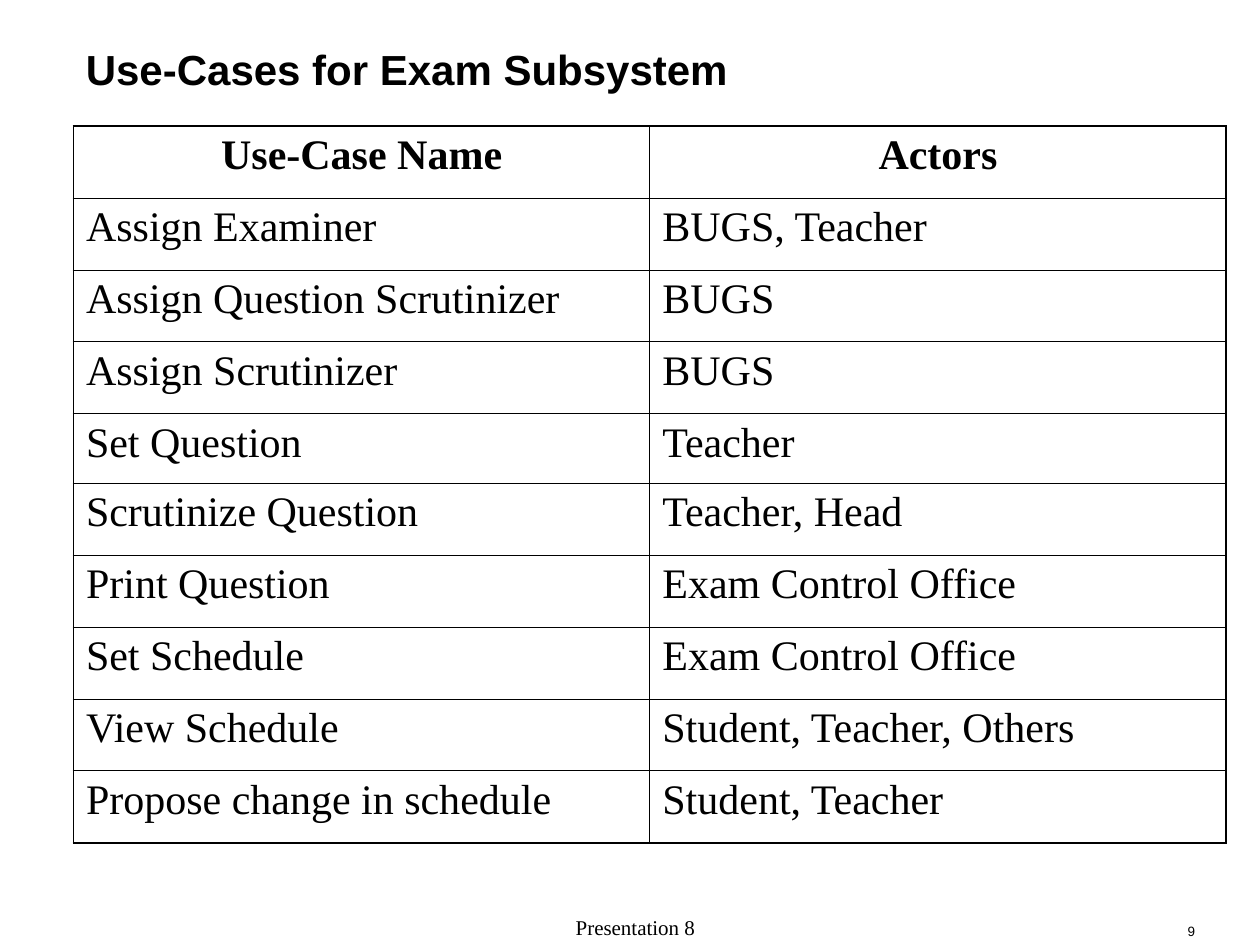
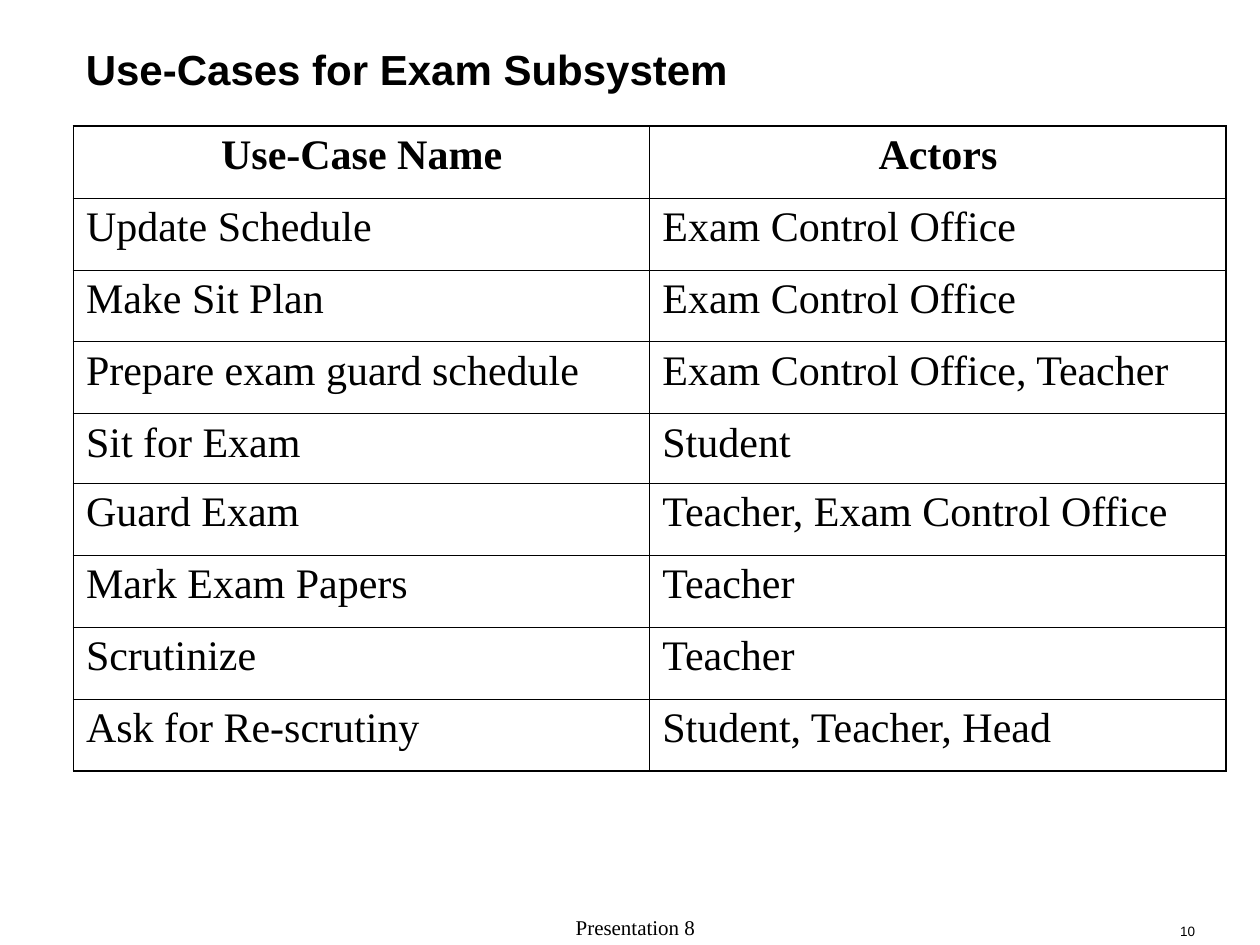
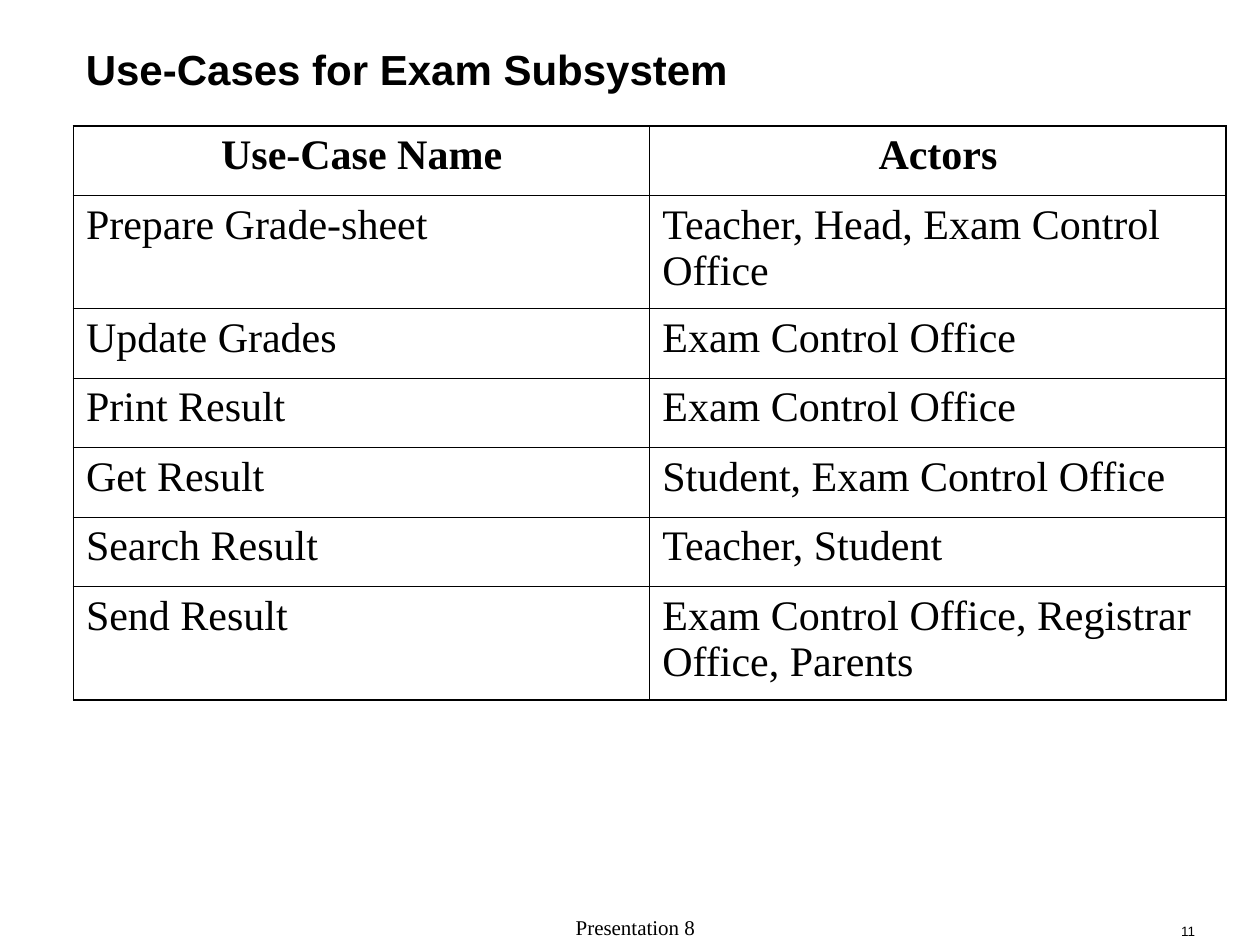
"""Build three slides that list the use-cases of the exam subsystem."""
from lxml import etree
from pptx import Presentation
from pptx import util as u
from pptx.dml import color
from pptx.enum import text
from pptx.oxml import ns

HEX = {"ink": "000000", "paper": "FFFFFF"}
SANS, SERIF = "Arial", "Times New Roman"
THIN, THICK = 0.45, 1.08
LEFT, MID, RIGHT = text.PP_ALIGN.LEFT, text.PP_ALIGN.CENTER, text.PP_ALIGN.RIGHT
FONTS = {
    "title": {"name": SANS, "size": u.Pt(24), "bold": True},
    "head": {"name": SERIF, "size": u.Pt(24), "bold": True},
    "body": {"name": SERIF, "size": u.Pt(24), "bold": False},
    "foot": {"name": SERIF, "size": u.Pt(12), "bold": False},
    "page": {"name": SANS, "size": u.Pt(7.7), "bold": False},
}
HEADS = ("Use-Case Name", "Actors")
OFFICE = "Exam Control Office"
TALL, ROW, LOW = 2.28, 1.45, 1.4
TABLES = [
    ([ROW] * 4 + [LOW] + [ROW] * 5, [
        ("Assign Examiner", "BUGS, Teacher"),
        ("Assign Question Scrutinizer", "BUGS"),
        ("Assign Scrutinizer", "BUGS"),
        ("Set Question", "Teacher"),
        ("Scrutinize Question", "Teacher, Head"),
        ("Print Question", OFFICE),
        ("Set Schedule", OFFICE),
        ("View Schedule", "Student, Teacher, Others"),
        ("Propose change in schedule", "Student, Teacher"),
    ]),
    ([ROW] * 4 + [LOW] + [ROW] * 4, [
        ("Update Schedule", OFFICE),
        ("Make Sit Plan", OFFICE),
        ("Prepare exam guard schedule", "Exam Control Office, Teacher"),
        ("Sit for Exam", "Student"),
        ("Guard Exam", "Teacher, Exam Control Office"),
        ("Mark Exam Papers", "Teacher"),
        ("Scrutinize", "Teacher"),
        ("Ask for Re-scrutiny", "Student, Teacher, Head"),
    ]),
    ([LOW, TALL] + [LOW] * 4 + [TALL], [
        ("Prepare Grade-sheet", "Teacher, Head, Exam Control Office"),
        ("Update Grades", OFFICE),
        ("Print Result", OFFICE),
        ("Get Result", "Student, Exam Control Office"),
        ("Search Result", "Teacher, Student"),
        ("Send Result", "Exam Control Office, Registrar Office, Parents"),
    ]),
]


class Deck:
    """Hold the style and the current slide."""

    def __init__(self):
        self.prs = Presentation()
        self.prs.slide_width, self.prs.slide_height = u.Cm(25.4), u.Cm(19.05)
        self.slide = None

    def page(self, num):
        """Start a slide with its title, footer and number."""
        self.slide = self.prs.slides.add_slide(self.prs.slide_layouts[6])
        fill = self.slide.background.fill
        fill.solid()
        fill.fore_color.rgb = color.RGBColor.from_string(HEX["paper"])
        low, mid = text.MSO_ANCHOR.BOTTOM, text.MSO_ANCHOR.MIDDLE
        self.label("Presentation 8", (8.68, 18.42, 8.26, 0.64), "foot", MID, low)
        para = self.label(str(num), (21.38, 18.42, 2.96, 0.64), "page", RIGHT, low)
        para.line_spacing = 0.8
        self.label("Use-Cases for Exam Subsystem",
                   (1.48, 0.64, 23.92, 1.48), "title", LEFT, mid)

    def words(self, frame, line, kind, align):
        """Put a styled line in a text frame."""
        para = frame.paragraphs[0]
        para.alignment = align
        run = para.add_run()
        run.text = line
        for key, val in FONTS[kind].items():
            setattr(run.font, key, val)
        run.font.color.rgb = color.RGBColor.from_string(HEX["ink"])
        return para

    def label(self, line, box, kind, align, anchor):
        """Add a text box."""
        frame = self.slide.shapes.add_textbox(*map(u.Cm, box)).text_frame
        for key, val in {"word_wrap": True, "vertical_anchor": anchor}.items():
            setattr(frame, key, val)
        return self.words(frame, line, kind, align)

    def edge(self, cell, side, width):
        """Draw one border of a cell."""
        props = cell._tc.get_or_add_tcPr()
        line = etree.SubElement(props, ns.qn("a:ln" + side), w=str(u.Pt(width)))
        fill = etree.SubElement(line, ns.qn("a:solidFill"))
        etree.SubElement(fill, ns.qn("a:srgbClr"), val=HEX["ink"])

    def table(self, rows, highs):
        """Add a two-column table with a heavier frame."""
        wide = 11.62
        grid = self.slide.shapes.add_table(
            len(rows), 2, u.Cm(1.48), u.Cm(2.54),
            u.Cm(2 * wide), u.Cm(sum(highs))).table
        grid.first_row = grid.horz_banding = False
        for col in grid.columns:
            col.width = u.Cm(wide)
        for r, (row, high) in enumerate(zip(rows, highs)):
            grid.rows[r].height = u.Cm(high)
            kind, align = ("body", LEFT) if r else ("head", MID)
            for c, line in enumerate(row):
                cell = grid.cell(r, c)
                self.words(cell.text_frame, line, kind, align)
                outer = {"L": c == 0, "R": c == 1,
                         "T": r == 0, "B": r == len(rows) - 1}
                for side, edge in outer.items():
                    self.edge(cell, side, THICK if edge else THIN)
                cell.fill.background()


def main():
    """Build and save the deck."""
    deck = Deck()
    for num, (highs, rows) in enumerate(TABLES, 9):
        deck.page(num)
        deck.table([HEADS] + rows, highs)
    deck.prs.save("out.pptx")


if __name__ == "__main__":
    main()
